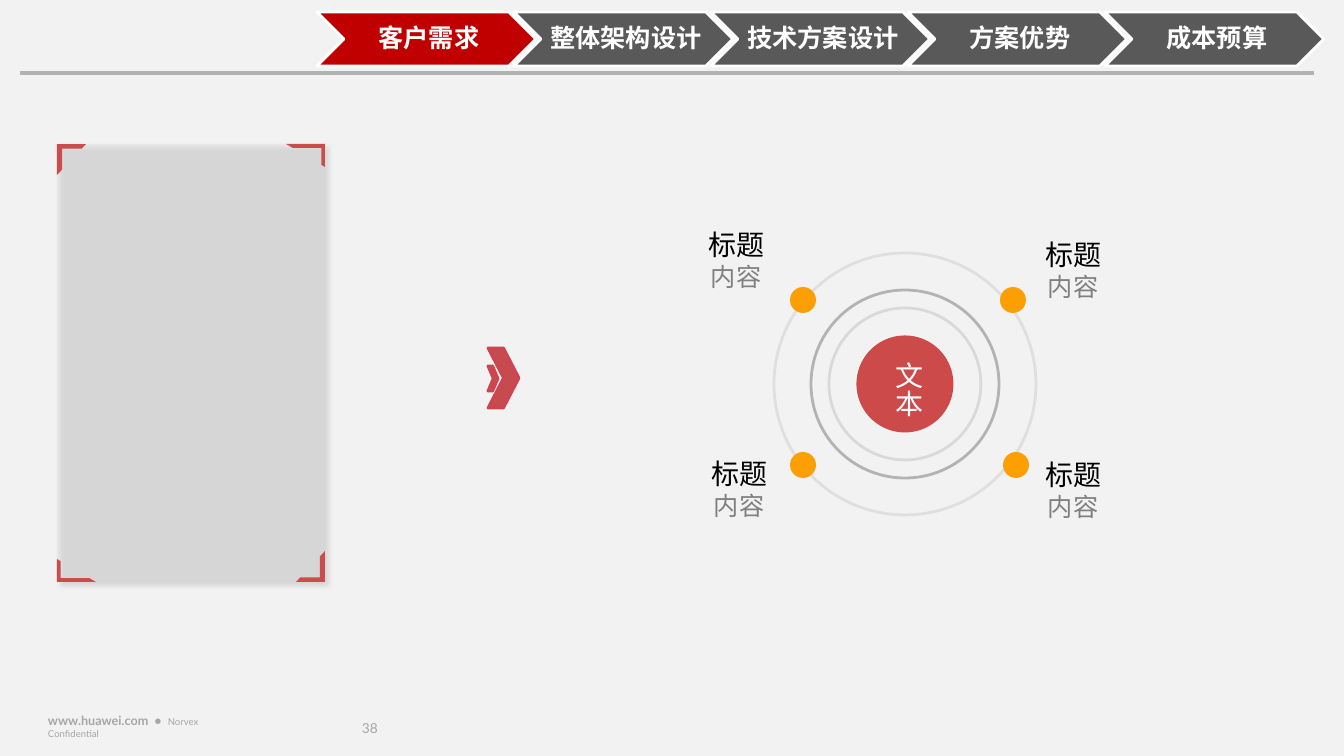
"""Build the customer-needs slide with a navigation bar and an orbit diagram."""
from dataclasses import dataclass

from lxml import etree
from pptx import Presentation
from pptx import util as u
from pptx.dml.color import RGBColor
from pptx.enum import shapes, text
from pptx.oxml.ns import qn


@dataclass(frozen=True)
class Theme:
    background: str = "F2F2F2"
    active: str = "C00000"
    idle: str = "595959"
    white: str = "FFFFFF"
    black: str = "000000"
    gray: str = "808080"
    footer: str = "A6A6A6"
    rule: str = "B2B2B2"
    panel: str = "D9D9D9"
    bracket: str = "CA4D4C"
    arrow: str = "C64B4E"
    arrow_line: str = "CF4451"
    core: str = "CC4A4A"
    dot: str = "FC9F02"
    cjk: str = "Noto Sans CJK SC"
    latin: str = "Lato"
    heading_size: float = 20
    body_size: float = 18
    number_size: float = 9.8
    site_size: float = 9
    notice_size: float = 6.8
    line_width: float = 2
    rule_width: float = 2.25


THEME = Theme()
SCALE = 914400 / 100.8
SLIDE_SIZE = (1344, 756)

STEPS = ["客户需求", "整体架构设计", "技术方案设计", "方案优势", "成本预算"]
ACTIVE_STEP = 0
FIRST_STEP, STEP_PITCH = (317, 12, 219, 54), 197
RULE = (20, 73, 1314, 73)

PANEL = (57, 144, 268, 438)
BRACKETS = [
    (180, 29, 31, "right", "bottom"),
    (0, 29, 31, "left", "top"),
    (90, 23, 39, "right", "top"),
    (270, 23, 39, "left", "bottom"),
]
ARROWS = [((488, 348, 31, 60), 0.5), ((488, 366, 10, 25), 0.528)]

CENTER = (905, 384)
CORE_DIAMETER, DOT_DIAMETER = 97, 26
RINGS = [(188, 26), (262, 7), (152, 9)]
CORE_TEXT, CORE_TEXT_BOX = "文本", (876, 352, 54, 77)
ORBIT_ITEMS = [
    ("标题", "内容", (1013, 300), (1036, 233)),
    ("标题", "内容", (803, 300), (699, 223)),
    ("标题", "内容", (1016, 465), (1036, 453)),
    ("标题", "内容", (803, 465), (702, 452)),
]

PAGE_NUMBER, PAGE_NUMBER_BOX = "38", (362, 719, 40, 21)
FOOTER_RUNS = [
    ("www.huawei.com  •  ", THEME.site_size, True),
    ("Norvex Confidential", THEME.notice_size, False),
]
FOOTER_BOX = (41, 715, 211, 23)


def px(value):
    return u.Emu(round(value * SCALE))


def color(value):
    return RGBColor.from_string(value)


def set_alpha(fill, percent):
    alpha = etree.SubElement(fill.find(".//" + qn("a:srgbClr")), qn("a:alpha"))
    alpha.set("val", str(percent * 1000))


def add_shape(slide, kind, box, fill=None, line=None):
    shape = slide.shapes.add_shape(kind, *map(px, box))
    shape.shadow.inherit = False
    if fill:
        shape.fill.solid()
        shape.fill.fore_color.rgb = color(fill)
    else:
        shape.fill.background()
    if line:
        shape.line.color.rgb = color(line)
        shape.line.width = u.Pt(THEME.line_width)
    else:
        shape.line.fill.background()
    return shape


def add_circle(slide, center, diameter, **style):
    left, top = (middle - diameter / 2 for middle in center)
    box = (left, top, diameter, diameter)
    return add_shape(slide, shapes.MSO_SHAPE.OVAL, box, **style)


def set_font(font, size, ink, name, bold=False):
    font.size = u.Pt(size)
    font.bold = bold
    font.color.rgb = color(ink)
    font.name = name


def write(frame, content, size, ink, name=THEME.cjk, bold=False):
    paragraph = frame.paragraphs[0]
    paragraph.text = content
    set_font(paragraph.font, size, ink, name, bold)
    latin = paragraph._p.pPr.find(".//" + qn("a:latin"))
    east_asian = etree.Element(qn("a:ea"), typeface=name)
    latin.addnext(east_asian)
    return paragraph


def set_margins(frame, left, top, right, bottom):
    frame.margin_left, frame.margin_top = px(left), px(top)
    frame.margin_right, frame.margin_bottom = px(right), px(bottom)


def add_text_box(slide, box):
    frame = slide.shapes.add_textbox(*map(px, box)).text_frame
    frame.word_wrap = True
    return frame


def add_footer(slide):
    frame = add_text_box(slide, PAGE_NUMBER_BOX)
    set_margins(frame, 0, 0, 0, 0)
    frame.vertical_anchor = text.MSO_ANCHOR.MIDDLE
    paragraph = write(frame, PAGE_NUMBER, THEME.number_size, THEME.footer, THEME.latin)
    paragraph.line_spacing = 0.85

    frame = add_text_box(slide, FOOTER_BOX)
    set_margins(frame, 7, 4, 7, 4)
    frame.vertical_anchor = text.MSO_ANCHOR.MIDDLE
    for content, size, bold in FOOTER_RUNS:
        run = frame.paragraphs[0].add_run()
        run.text = content
        set_font(run.font, size, THEME.footer, THEME.latin, bold)


def add_panel(slide):
    panel = add_shape(slide, shapes.MSO_SHAPE.RECTANGLE, PANEL, THEME.panel)
    properties = panel._element.spPr
    set_alpha(properties.find(qn("a:solidFill")), 29)
    effects = properties.find(qn("a:effectLst"))
    shadow = etree.SubElement(
        effects, qn("a:outerShdw"), blurRad=str(u.Pt(4)), dist=str(u.Pt(3)),
        dir="2700000", algn="tl", rotWithShape="0")
    tint = etree.SubElement(shadow, qn("a:srgbClr"), val=THEME.black)
    etree.SubElement(tint, qn("a:alpha"), val="40000")

    left, top, panel_width, panel_height = PANEL
    for rotation, width, height, side, edge in BRACKETS:
        across, down = (height, width) if rotation % 180 else (width, height)
        center_x = left + (across / 2 if side == "left" else panel_width - across / 2)
        center_y = top + (down / 2 if edge == "top" else panel_height - down / 2)
        box = (center_x - width / 2, center_y - height / 2, width, height)
        bracket = add_shape(slide, shapes.MSO_SHAPE.HALF_FRAME, box, THEME.bracket)
        bracket.adjustments[0], bracket.adjustments[1] = 0.156, 0.174
        bracket.rotation = rotation


def add_arrows(slide):
    for box, point in ARROWS:
        arrow = add_shape(slide, shapes.MSO_SHAPE.CHEVRON, box, THEME.arrow, THEME.arrow_line)
        arrow.adjustments[0] = point


def add_orbit(slide):
    add_circle(slide, CENTER, CORE_DIAMETER, fill=THEME.core)
    for diameter, opacity in RINGS:
        ring = add_circle(slide, CENTER, diameter, line=THEME.black)
        set_alpha(ring._element.spPr.find(qn("a:ln")), opacity)
    frame = add_text_box(slide, CORE_TEXT_BOX)
    frame._txBody.bodyPr.set("vert", "eaVert")
    write(frame, CORE_TEXT, THEME.heading_size, THEME.white)
    for heading, body, dot, (left, top) in ORBIT_ITEMS:
        add_circle(slide, dot, DOT_DIAMETER, fill=THEME.dot)
        heading_frame = add_text_box(slide, (left, top, 186, 44))
        write(heading_frame, heading, THEME.heading_size, THEME.black)
        body_frame = add_text_box(slide, (left + 2, top + 33, 186, 40))
        write(body_frame, body, THEME.body_size, THEME.gray)


def add_navigation(slide):
    left, top, width, height = FIRST_STEP
    for index, label in enumerate(STEPS):
        box = (left + index * STEP_PITCH, top, width, height)
        fill = THEME.active if index == ACTIVE_STEP else THEME.idle
        step = add_shape(slide, shapes.MSO_SHAPE.CHEVRON, box, fill, THEME.white)
        frame = step.text_frame
        frame.word_wrap = True
        frame.vertical_anchor = text.MSO_ANCHOR.MIDDLE
        set_margins(frame, 8, 3, 3, 3)
        paragraph = write(frame, label, THEME.body_size, THEME.white, bold=True)
        paragraph.alignment = text.PP_ALIGN.CENTER
        paragraph.line_spacing = 0.9
    rule = slide.shapes.add_connector(shapes.MSO_CONNECTOR.STRAIGHT, *map(px, RULE))
    rule.line.color.rgb = color(THEME.rule)
    rule.line.width = u.Pt(THEME.rule_width)
    etree.SubElement(rule._element.spPr, qn("a:effectLst"))


def main():
    presentation = Presentation()
    presentation.slide_width, presentation.slide_height = map(px, SLIDE_SIZE)
    slide = presentation.slides.add_slide(presentation.slide_layouts[6])
    slide.background.fill.solid()
    slide.background.fill.fore_color.rgb = color(THEME.background)
    for add_part in (add_footer, add_panel, add_arrows, add_orbit, add_navigation):
        add_part(slide)
    presentation.save("out.pptx")


if __name__ == "__main__":
    main()
